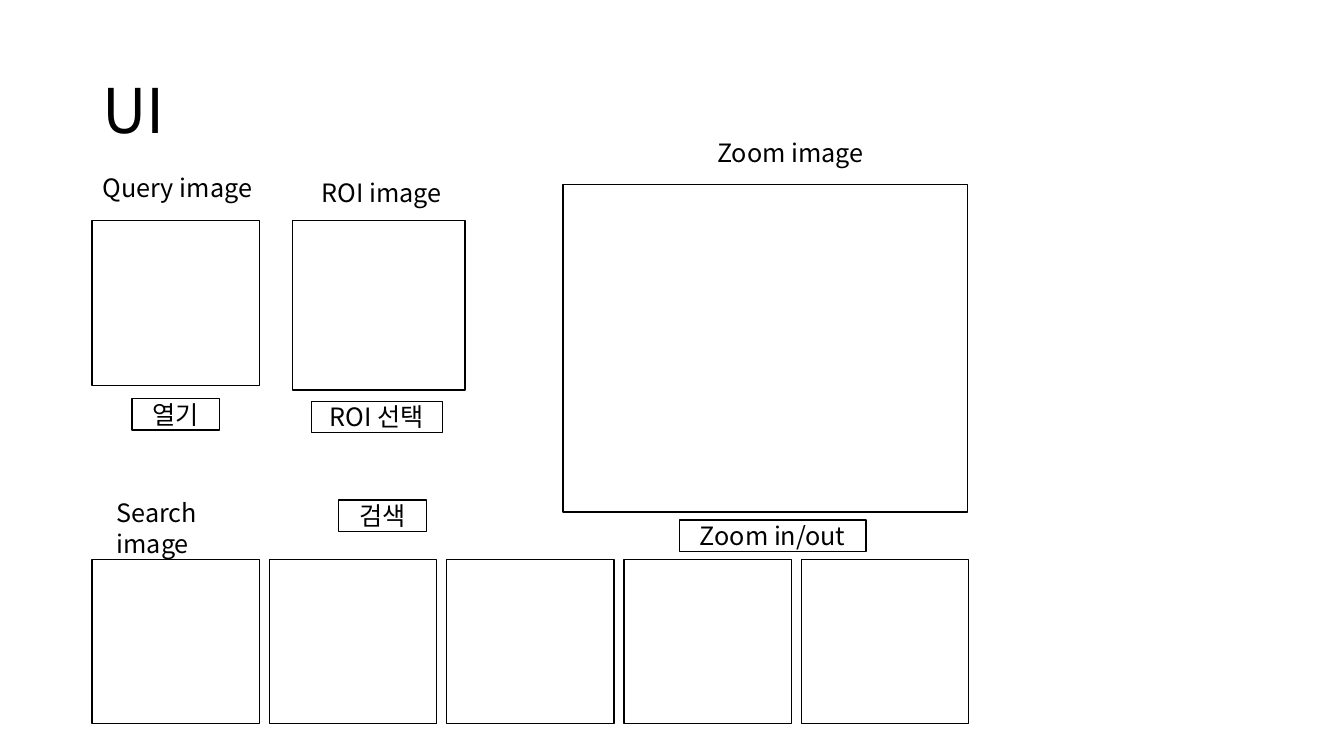
from lxml import etree
from pptx import Presentation
from pptx.dml.color import RGBColor
from pptx.enum.shapes import MSO_SHAPE
from pptx.enum.text import MSO_ANCHOR, MSO_AUTO_SIZE, PP_ALIGN
from pptx.oxml.ns import qn
from pptx.util import Pt

RECT = MSO_SHAPE.RECTANGLE
MIDDLE = MSO_ANCHOR.MIDDLE
LEFT, CENTER = PP_ALIGN.LEFT, PP_ALIGN.CENTER
NO_FIT = MSO_AUTO_SIZE.NONE

THEME = {
    "font": "Noto Sans CJK KR",
    "ink": RGBColor(0, 0, 0),
    "title": Pt(44),
    "body": Pt(18),
    "leading": Pt(21.5),
    "line": Pt(1),
}


def write(tf, text, size, align, spacing):
    p = tf.paragraphs[0]
    for name, value in {"alignment": align, "line_spacing": spacing}.items():
        setattr(p, name, value)
    r = p.add_run()
    r.text = text
    for name, value in {"name": THEME["font"], "size": size}.items():
        setattr(r.font, name, value)
    r.font.color.rgb = THEME["ink"]
    etree.SubElement(r.font._element, qn("a:ea"), typeface=THEME["font"])


def add_frame(s, box):
    sp = s.shapes.add_shape(RECT, *map(Pt, box))
    sp.shadow.inherit = False
    sp.fill.background()
    sp.line.color.rgb = THEME["ink"]
    sp.line.width = THEME["line"]
    return sp


prs = Presentation()
prs.slide_width, prs.slide_height = Pt(960), Pt(540)
s = prs.slides.add_slide(prs.slide_layouts[5])

title = s.shapes.title
title.left, title.top, title.width, title.height = map(Pt, (66, 29, 828, 104))
tf = title.text_frame
tf.auto_size = NO_FIT
tf.vertical_anchor = MIDDLE
write(tf, "UI", THEME["title"], LEFT, 0.9)

thumb_left, thumb_w, thumb_h, thumb_step = 65.7, 119.5, 117.5, 126.7
query_frame = (thumb_left, 157.7, thumb_w, thumb_h)
roi_frame = (208.8, 157.7, 123.4, 121)
zoom_frame = (402.3, 131.8, 288.9, 234)
result_frames = [(thumb_left + i * thumb_step, 399.5, thumb_w, thumb_h) for i in range(5)]
for box in [query_frame, roi_frame, zoom_frame, *result_frames]:
    add_frame(s, box)

buttons = [
    ("열기", 94.3, 284.8, 62.6),
    ("ROI 선택", 222.5, 286.6, 93.6),
    ("검색", 241.9, 357.2, 62.6),
    ("Zoom in/out", 485.3, 371.5, 133.2),
]
for text, left, top, width in buttons:
    tf = add_frame(s, (left, top, width, 22.3)).text_frame
    tf.vertical_anchor = MIDDLE
    write(tf, text, THEME["body"], CENTER, THEME["leading"])

labels = [
    ("Query image", 66.2, 119.5, 121.7, 29, False),
    ("ROI image", 222.5, 123.1, 101.5, 29, False),
    ("Zoom image", 505.4, 94.3, 120.2, 29, False),
    ("Search image", 76.3, 352.1, 94, 50.2, True),
]
for text, left, top, width, height, wrap in labels:
    tf = s.shapes.add_textbox(*map(Pt, (left, top, width, height))).text_frame
    tf.word_wrap = wrap
    write(tf, text, THEME["body"], LEFT, THEME["leading"])

prs.save("out.pptx")
